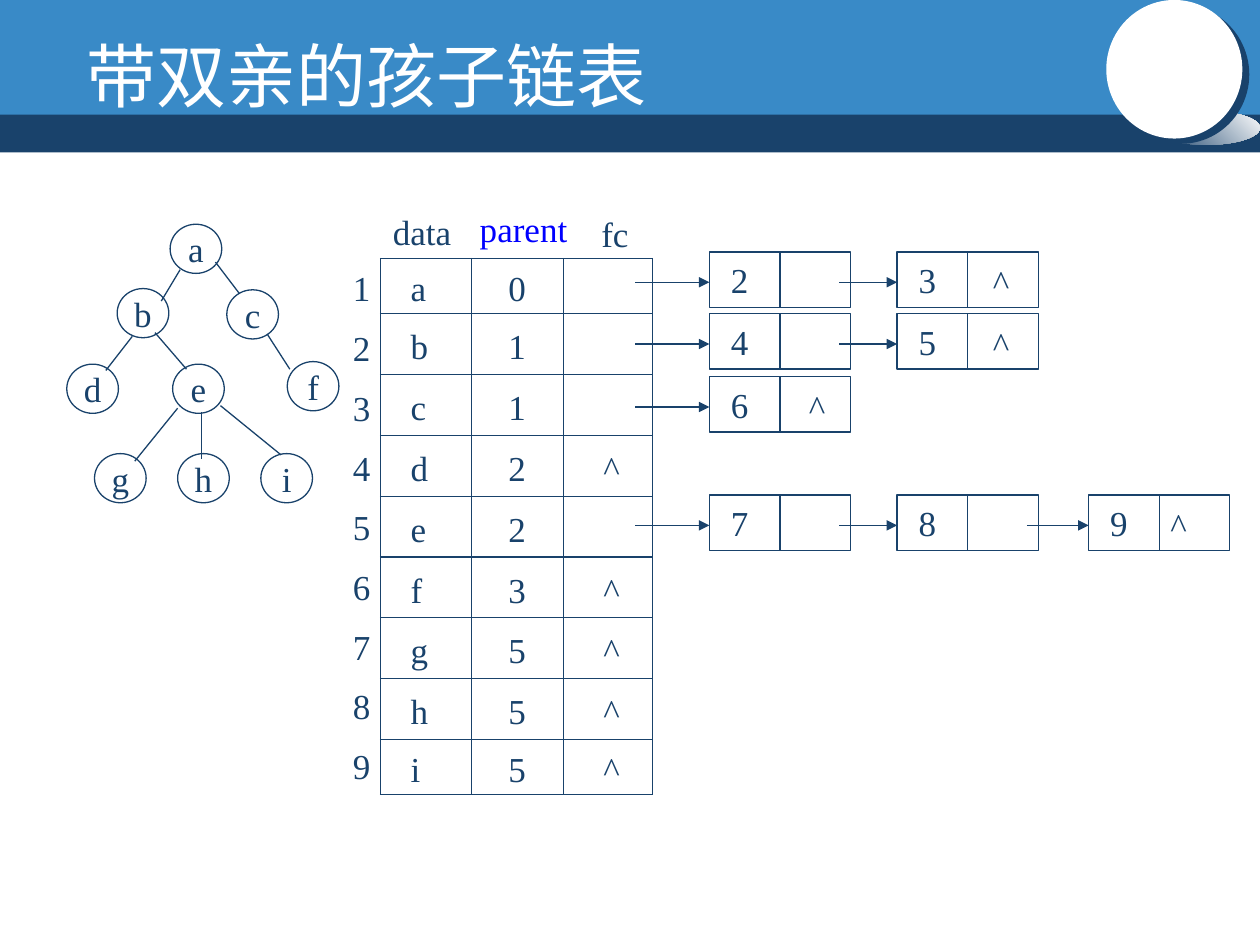
from lxml import etree
from pptx import Presentation
from pptx import util as u
from pptx.dml.color import RGBColor
from pptx.enum import shapes, text
from pptx.oxml.ns import qn

COLOURS = {"navy": "19426B", "sky": "398AC7", "blue": "0000FF", "white": "FFFFFF"}
RGB = {name: RGBColor.from_string(value) for name, value in COLOURS.items()}
SERIF = "Times New Roman"
THIN = u.Pt(0.75)

prs = Presentation()
prs.slide_width, prs.slide_height = u.Inches(10), u.Inches(7.5)
GRID = prs.slide_width // 100  # the slide is 100 columns by 75 rows
slide = prs.slides.add_slide(prs.slide_layouts[5])


def write(words, left, top, width, height, kind=None, fill=None, outline=None,
          colour="navy", align="CENTER", inset=0):
    """Place a text box, or a preset shape, at grid lengths."""
    box = [round(n * GRID) for n in (left, top, width, height)]
    if kind is None:
        item = slide.shapes.add_textbox(*box)
    else:
        item = slide.shapes.add_shape(kind, *box)
        item.shadow.inherit = False
        item.fill.background()
        item.line.fill.background()
        if fill:
            item.fill.solid()
            item.fill.fore_color.rgb = RGB[fill]
        if outline:
            item.line.color.rgb = RGB[outline]
            item.line.width = THIN
    if words:
        frame = item.text_frame
        frame.word_wrap = False
        frame.vertical_anchor = text.MSO_ANCHOR.MIDDLE
        frame.margin_left, frame.margin_right = round(inset * GRID), 0
        frame.text = words
        paragraph = frame.paragraphs[0]
        paragraph.alignment = text.PP_ALIGN[align]
        paragraph.font.size, paragraph.font.name = u.Pt(20), SERIF
        paragraph.font.color.rgb = RGB[colour]
    return item


def link(x1, y1, x2, y2, arrow=False):
    """Draw a thin line, with an arrowhead at its end if asked."""
    ends = [round(n * GRID) for n in (x1, y1, x2, y2)]
    edge = slide.shapes.add_connector(shapes.MSO_CONNECTOR.STRAIGHT, *ends)
    edge.line.color.rgb = RGB["navy"]
    edge.line.width = THIN
    if arrow:
        etree.SubElement(edge.get_or_add_ln(), qn("a:tailEnd"), type="triangle")
    etree.SubElement(edge.element.spPr, qn("a:effectLst"))


RECT, OVAL = shapes.MSO_SHAPE.RECTANGLE, shapes.MSO_SHAPE.OVAL

# Header bands and the disc with its glow
write("", 0, 8.7, 100, 3.4, kind=RECT, fill="navy")
write("", 0, 0, 100, 9.1, kind=RECT, fill="sky")
glow = write("", 91.5, 8.8, 8.5, 2.7, kind=OVAL)
glow.fill.gradient()
glow.fill.gradient_angle = 45
for stop, position, colour in zip(glow.fill.gradient_stops, (0, 1), ("navy", "white")):
    stop.position, stop.color.rgb = position, RGB[colour]
disc = write("", 87.8, 0, 10.8, 11, kind=OVAL, fill="white")
effects = disc.element.spPr.find(qn("a:effectLst"))
shade = etree.SubElement(effects, qn("a:outerShdw"), blurRad="0", dist=str(u.Pt(5)),
                         dir=str(37 * 60000), algn="ctr", rotWithShape="0")
etree.SubElement(shade, qn("a:srgbClr"), val=COLOURS["navy"])

# Title, brought in front of the bands
title = slide.shapes.title
title.element.getparent().append(title.element)
title.left, title.top, title.width, title.height = [
    round(n * GRID) for n in (5.9, 2.1, 46.5, 7.7)]
title.text_frame.text = "带双亲的孩子链表"
title.text_frame.word_wrap = False
title.text_frame.auto_size = text.MSO_AUTO_SIZE.NONE
title.text_frame.vertical_anchor = text.MSO_ANCHOR.TOP
heading = title.text_frame.paragraphs[0]
heading.alignment = text.PP_ALIGN.LEFT
heading.font.size, heading.font.name = u.Pt(40), "Lato"
heading.font.color.rgb = RGB["white"]

# Node table: data, parent, first child (rows with children leave it to an arrow)
records = [("a", "0", ""), ("b", "1", ""), ("c", "1", ""), ("d", "2", "^"), ("e", "2", ""),
           ("f", "3", "^"), ("g", "5", "^"), ("h", "5", "^"), ("i", "5", "^")]
widths = (7.2, 7.3, 7.1)
heights = [4.4] + [4.83] * 7 + [4.4]
frame = slide.shapes.add_table(len(records), len(widths), *[
    round(n * GRID) for n in (30.2, 20.5, sum(widths), sum(heights))])
nodes = frame.table
nodes.first_row = nodes.horz_banding = False
for column, width in zip(nodes.columns, widths):
    column.width = round(width * GRID)
for row, height, record in zip(nodes.rows, heights, records):
    row.height = round(height * GRID)
    for place, (cell, value) in enumerate(zip(row.cells, record)):
        cell.margin_bottom = cell.margin_right = 0
        cell.margin_top = round(0.6 * GRID)
        cell.margin_left = round((2.4, 0, 0.6)[place] * GRID)
        cell.vertical_anchor = text.MSO_ANCHOR.MIDDLE
        cell.text = value
        entry = cell.text_frame.paragraphs[0]
        entry.alignment = text.PP_ALIGN.CENTER if place else text.PP_ALIGN.LEFT
        entry.font.size, entry.font.name = u.Pt(20), SERIF
        entry.font.color.rgb = RGB["navy"]
        borders = cell._tc.get_or_add_tcPr()
        for side in ("lnL", "lnR", "lnT", "lnB"):
            border = etree.SubElement(borders, qn(f"a:{side}"), w=str(THIN))
            paint = etree.SubElement(border, qn("a:solidFill"))
            etree.SubElement(paint, qn("a:srgbClr"), val=COLOURS["navy"])
        cell.fill.background()

# Column headings and row numbers
write("data", 30.2, 16.2, 6.6, 4.3)
write("parent", 37.1, 16, 8.9, 4.3, colour="blue")
write("fc", 46.7, 16.4, 4.2, 4.3)
for number in range(len(records)):
    write(str(number + 1), 27, 20.7 + 4.74 * number, 3.4, 4.3)

# Child chains: top, children, centre of the closing mark
chain_columns = (56.3, 71.2, 86.4)
for top, children, mark in [(20, "23", 79.4), (24.9, "45", 79.4),
                            (29.9, "6", 64.8), (39.3, "789", 93.5)]:
    arrow_start = 50.4
    for child, left in zip(children, chain_columns):
        write(child, left, top, 11.2, 4.4, kind=RECT, outline="navy",
              align="LEFT", inset=1.7)
        link(left + 5.6, top, left + 5.6, top + 4.4)
        link(arrow_start, top + 2.4, left, top + 2.4, arrow=True)
        arrow_start = left + 10.3
    write("^", mark - 1.6, top + 0.2, 3.3, 4.3)

# Tree
for name, left, top in [("a", 13.5, 17.8), ("b", 9.3, 22.9), ("c", 18, 23),
                        ("d", 5.3, 28.9), ("e", 13.7, 28.9), ("f", 22.8, 28.7),
                        ("g", 7.5, 36), ("h", 14.1, 36), ("i", 20.7, 36)]:
    write(name, left, top, 4.1, 3.9, kind=OVAL, outline="navy")
for branch in [(14.3, 21.4, 12.8, 23.9), (17.1, 20.8, 19, 23.3),
               (10.5, 26.7, 8.4, 29.4), (12.3, 26.4, 14.8, 29.3),
               (21.2, 26.5, 23, 29.3), (14.1, 32.4, 10.7, 36.6),
               (16, 32.7, 16, 36.4), (17.5, 32.2, 22.3, 36.1)]:
    link(*branch)

prs.save("out.pptx")
